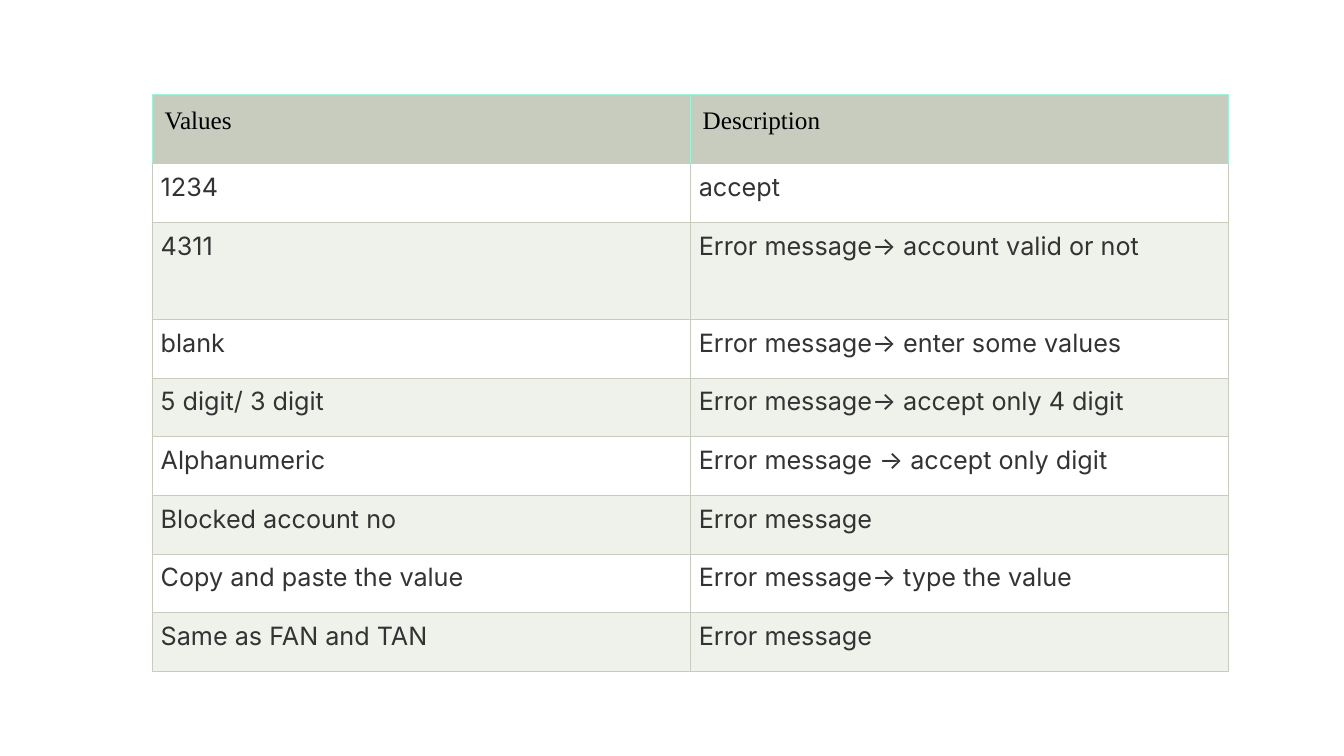
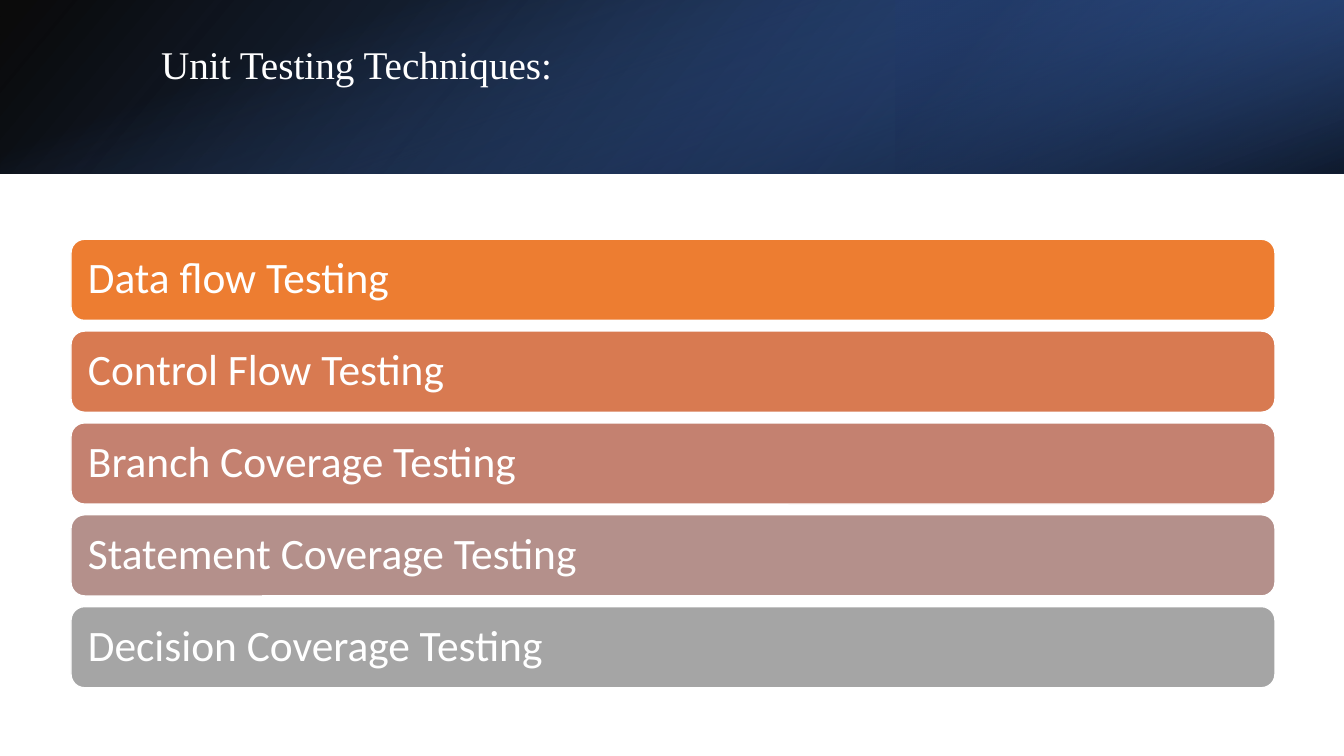
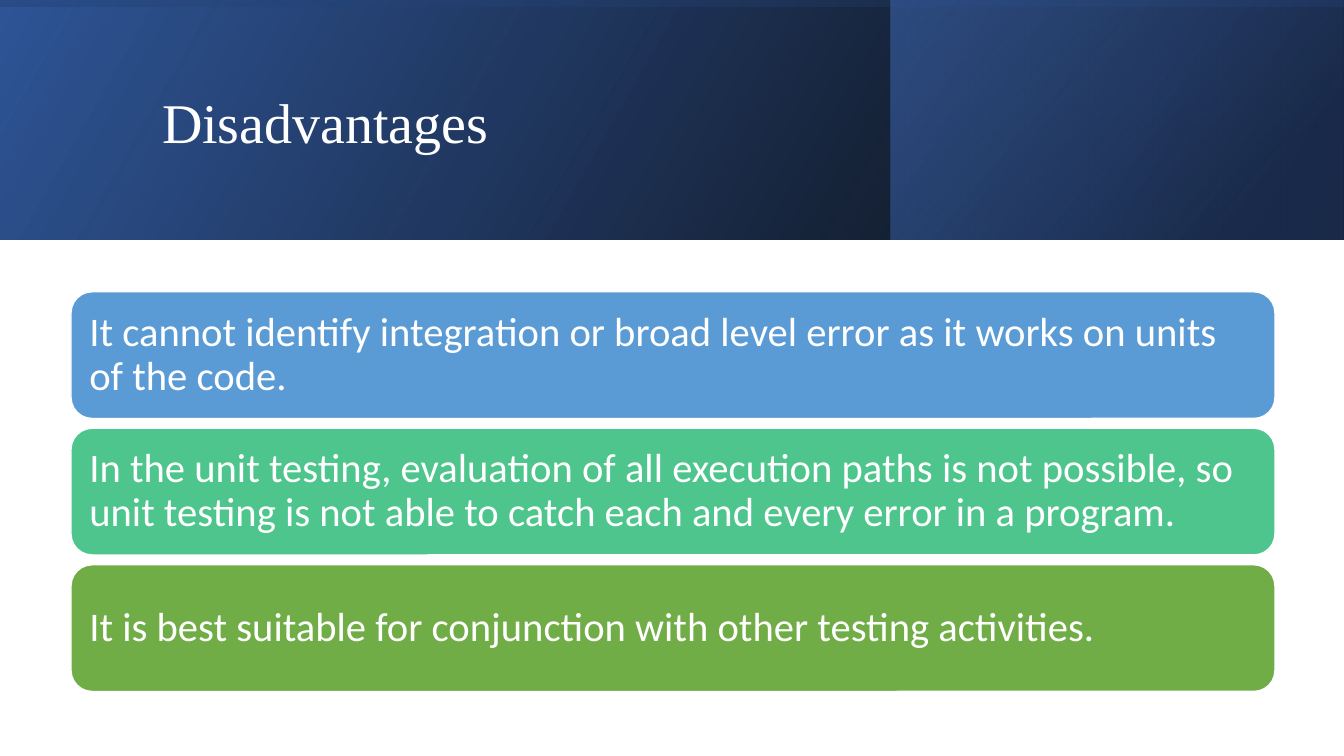
"""Unit testing slides: a value table and two slides of stacked cards."""
from dataclasses import dataclass

from pptx import Presentation
from pptx.dml.color import RGBColor
from pptx.enum.shapes import MSO_SHAPE
from pptx.enum.text import MSO_ANCHOR, PP_ALIGN
from pptx.oxml import parse_xml
from pptx.oxml.ns import nsdecls, qn
from pptx.util import Pt

RECT = MSO_SHAPE.RECTANGLE
ROUNDED = MSO_SHAPE.ROUNDED_RECTANGLE
TOP, MIDDLE = MSO_ANCHOR.TOP, MSO_ANCHOR.MIDDLE
LEFT, JUSTIFY = PP_ALIGN.LEFT, PP_ALIGN.JUSTIFY

SLIDE_W, SLIDE_H = 960, 540


@dataclass(frozen=True)
class Theme:
    """Colours, fonts and type sizes of the deck."""
    white: str = "FFFFFF"
    black: str = "000000"
    navy: str = "203864"
    deep_blue: str = "2F5597"
    blue: str = "4472C4"
    body_text: str = "333333"
    table_head: str = "C7CCBE"
    table_band: str = "EFF1EB"
    head_border: str = "A0F4D5"
    title_font: str = "Times New Roman"
    card_font: str = "Calibri"
    cell_font: str = "Inter"
    table_size: int = 18


THEME = Theme()

VALUE_ROWS = [
    ("Values", "Description"),
    ("1234", "accept"),
    ("4311", "Error message→ account valid or not"),
    ("blank", "Error message→ enter some values"),
    ("5 digit/ 3 digit", "Error message→ accept only 4 digit"),
    ("Alphanumeric", "Error message → accept only digit"),
    ("Blocked account no", "Error message"),
    ("Copy and paste the value", "Error message→ type the value"),
    ("Same as FAN and TAN", "Error message"),
]
TECHNIQUES = [
    ("Data flow Testing", "ED7D31"),
    ("Control Flow Testing", "D87A51"),
    ("Branch Coverage Testing", "C48170"),
    ("Statement Coverage Testing", "B4908B"),
    ("Decision Coverage Testing", "A5A5A5"),
]
DISADVANTAGES = [
    ("It cannot identify integration or broad level error as it works on "
     "units of the code.", "5B9BD5"),
    ("In the unit testing, evaluation of all execution paths is not possible, "
     "so unit testing is not able to catch each and every error in a program.",
     "4DC58D"),
    ("It is best suitable for conjunction with other testing activities.",
     "70AD47"),
]


def rgb(value):
    """Return a colour object for a hex string."""
    return RGBColor.from_string(value)


def set_insets(holder, x, y):
    """Set side and vertical margins of a text frame or table cell."""
    holder.margin_left = holder.margin_right = Pt(x)
    holder.margin_top = holder.margin_bottom = Pt(y)


def write(frame, text, font, size, color, align=LEFT, spacing=None):
    """Write one run into the first paragraph of a text frame."""
    frame.word_wrap = True
    paragraph = frame.paragraphs[0]
    paragraph.alignment = align
    paragraph.line_spacing = spacing
    run = paragraph.add_run()
    run.text = text
    run.font.name = font
    run.font.size = Pt(size)
    run.font.color.rgb = rgb(color)


def add_gradient(slide, box, stops, angle, rotation=0, flipped=False):
    """Add a rectangle whose stops are (position %, colour, opacity %)."""
    panel = slide.shapes.add_shape(RECT, *map(Pt, box))
    panel.shadow.inherit = False
    panel.rotation = rotation
    panel.line.fill.background()
    panel.fill.background()
    properties = panel._element.spPr
    if flipped:
        properties.xfrm.set("flipH", "1")
    stop_xml = "".join(
        f'<a:gs pos="{position * 1000}"><a:srgbClr val="{color}">'
        f'<a:alpha val="{opacity * 1000}"/></a:srgbClr></a:gs>'
        for position, color, opacity in stops)
    gradient = parse_xml(
        f'<a:gradFill {nsdecls("a")} rotWithShape="1"><a:gsLst>{stop_xml}'
        f'</a:gsLst><a:lin ang="{angle * 60000}" scaled="0"/></a:gradFill>')
    properties.replace(properties.find(qn("a:noFill")), gradient)


def add_header(slide, height, base_angle, accent, sweep):
    """Layer the base, the right accent and the turned sweep of a header."""
    add_gradient(slide, (0, 0, SLIDE_W, height),
                 [(0, THEME.black, 96), (100, THEME.deep_blue, 100)],
                 base_angle, flipped=True)
    left, width, opacity, accent_turn = accent
    add_gradient(slide, (left, 0, width, height),
                 [(19, THEME.navy, 68), (100, THEME.blue, opacity)],
                 320, accent_turn, flipped=True)
    stops, angle, sweep_turn, flipped = sweep
    offset = (SLIDE_W - height) / 2
    add_gradient(slide, (offset, -offset, height, SLIDE_W),
                 stops, angle, sweep_turn, flipped)


def add_title(slide, text, box, size, anchor=MIDDLE, inset=3.6):
    """Add the white serif title."""
    frame = slide.shapes.add_textbox(*map(Pt, box)).text_frame
    frame.vertical_anchor = anchor
    set_insets(frame, 7.2, inset)
    write(frame, text, THEME.title_font, size, THEME.white, spacing=0.9)


def add_cards(slide, cards, top, height, pitch, size, inset):
    """Stack rounded cards at an equal pitch."""
    for index, (text, color) in enumerate(cards):
        card = slide.shapes.add_shape(
            ROUNDED, Pt(50.7), Pt(top + index * pitch), Pt(860), Pt(height))
        card.shadow.inherit = False
        card.fill.solid()
        card.fill.fore_color.rgb = rgb(color)
        card.line.color.rgb = rgb(THEME.white)
        card.line.width = Pt(1)
        frame = card.text_frame
        frame.vertical_anchor = MIDDLE
        set_insets(frame, inset, inset)
        write(frame, text, THEME.card_font, size, THEME.white, spacing=0.9)


def set_borders(cell, outer, bottom):
    """Draw thin cell borders, with a separate colour for the bottom."""
    properties = cell._tc.get_or_add_tcPr()
    for side, color in zip("LRTB", (outer, outer, outer, bottom)):
        properties.append(parse_xml(
            f'<a:ln{side} {nsdecls("a")} w="{Pt(0.75)}"><a:solidFill>'
            f'<a:srgbClr val="{color}"/></a:solidFill></a:ln{side}>'))


def style_cell(cell, text, row):
    """Fill, border and write one cell of the value table."""
    if row == 0:
        fill, border, inset = THEME.table_head, THEME.head_border, 8.8
        font, color, align = THEME.title_font, THEME.black, LEFT
    else:
        fill = THEME.white if row % 2 else THEME.table_band
        border, inset = THEME.table_head, 6
        font, color, align = THEME.cell_font, THEME.body_text, JUSTIFY
    set_borders(cell, border, THEME.table_head)
    cell.fill.solid()
    cell.fill.fore_color.rgb = rgb(fill)
    set_insets(cell, inset, inset)
    write(cell.text_frame, text, font, THEME.table_size, color, align)


def add_value_table(slide, rows):
    """Add the two-column table of values and descriptions."""
    heights = [49.4, 41.9, 69.4] + [41.9] * (len(rows) - 3)
    table = slide.shapes.add_table(
        len(rows), 2, Pt(108.8), Pt(67.5), Pt(768.8), Pt(sum(heights))).table
    table.first_row = table.horz_banding = False
    for column in table.columns:
        column.width = Pt(384.4)
    for row, texts in enumerate(rows):
        table.rows[row].height = Pt(heights[row])
        for column, text in enumerate(texts):
            style_cell(table.cell(row, column), text, row)


def main():
    """Build and save the deck."""
    deck = Presentation()
    deck.slide_width, deck.slide_height = Pt(SLIDE_W), Pt(SLIDE_H)
    blank = deck.slide_layouts[6]

    add_value_table(deck.slides.add_slide(blank), VALUE_ROWS)

    techniques = deck.slides.add_slide(blank)
    add_header(techniques, 124, 140, accent=(640, 320, 79, 180),
               sweep=([(23, THEME.blue, 0), (99, THEME.black, 74)],
                      340, 90, False))
    add_title(techniques, "Unit Testing Techniques:", (108, 27.4, 790.6, 69),
              28, TOP, 5.4)
    add_cards(techniques, TECHNIQUES, 170.9, 58, 65.6, 31, 9.3)

    disadvantages = deck.slides.add_slide(blank)
    add_header(disadvantages, 171, 330, accent=(636.5, 323, 48, 0),
               sweep=([(23, THEME.deep_blue, 16), (99, THEME.black, 45)],
                      350, 270, True))
    add_title(disadvantages, "Disadvantages", (108.7, 27.4, 765.4, 124), 40)
    add_cards(disadvantages, DISADVANTAGES, 208.4, 90.5, 97.5, 29, 8.7)

    deck.save("out.pptx")


main()
